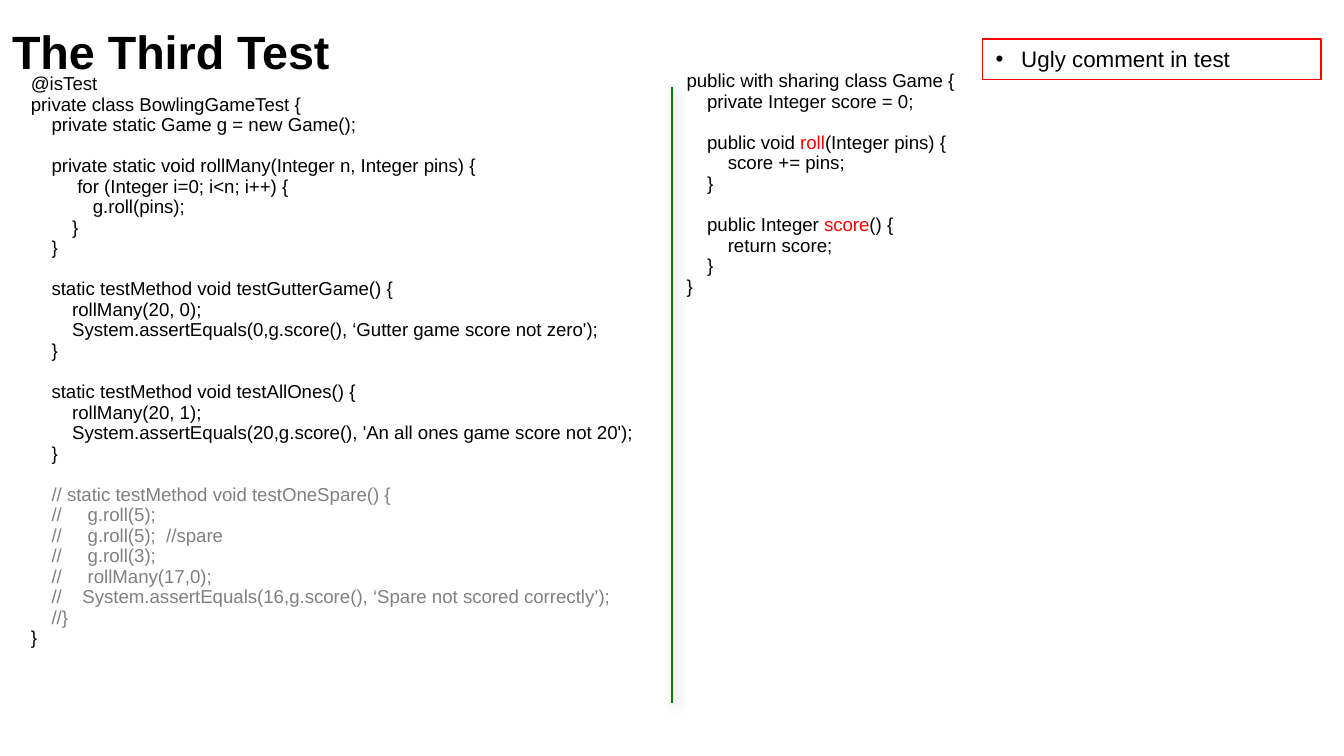
from lxml import etree
from pptx import Presentation
from pptx.dml.color import RGBColor
from pptx.enum import shapes, text
from pptx.oxml import parse_xml
from pptx.oxml.ns import nsdecls, qn
from pptx.util import Inches, Pt

BLACK = RGBColor(0x00, 0x00, 0x00)
GRAY = RGBColor(0x80, 0x80, 0x80)
RED = RGBColor(0xFF, 0x00, 0x00)
GREEN = RGBColor(0x00, 0x80, 0x00)
FONT = "Arial"
LINE_HEIGHT = Pt(11)

TITLE = "The Third Test"
REMARK = "Ugly comment in test"

# Code as blocks of lines; a line is text or a list of (text, colour) spans
TEST_CODE = [
    ["@isTest",
     "private class BowlingGameTest {",
     "    private static Game g = new Game();"],
    ["    private static void rollMany(Integer n, Integer pins) {",
     "         for (Integer i=0; i<n; i++) {",
     "            g.roll(pins);",
     "        }",
     "    }"],
    ["    static testMethod void testGutterGame() {",
     "        rollMany(20, 0);",
     "        System.assertEquals(0,g.score(), ‘Gutter game score not zero');",
     "    }"],
    ["    static testMethod void testAllOnes() {",
     "        rollMany(20, 1);",
     "        System.assertEquals(20,g.score(), 'An all ones game score not 20');",
     "    }"],
    ["    // static testMethod void testOneSpare() {",
     "    //     g.roll(5);",
     "    //     g.roll(5);  //spare",
     "    //     g.roll(3);",
     "    //     rollMany(17,0);",
     "    //    System.assertEquals(16,g.score(), ‘Spare not scored correctly’);",
     "    //}",
     "}"],
]
GAME_CODE = [
    ["public with sharing class Game {",
     "    private Integer score = 0;"],
    [[("    public void ", BLACK), ("roll", RED), ("(Integer pins) {", BLACK)],
     "        score += pins;",
     "    }"],
    [[("    public Integer ", BLACK), ("score", RED), ("() {", BLACK)],
     "        return score;",
     "    }",
     "}"],
]


def add_box(slide, left, top, width, height, inset_x=0.1, inset_y=0.05):
    box = slide.shapes.add_textbox(Inches(left), Inches(top), Inches(width), Inches(height))
    frame = box.text_frame
    frame.word_wrap = True
    frame.margin_left = frame.margin_right = Inches(inset_x)
    frame.margin_top = frame.margin_bottom = Inches(inset_y)
    return frame


def add_span(para, words, size, color, bold=False):
    span = para.add_run()
    span.text = words
    span.font.name = FONT
    span.font.size = Pt(size)
    span.font.bold = bold
    span.font.color.rgb = color


def add_code(frame, blocks):
    para = frame.paragraphs[0]
    for block_index, block in enumerate(blocks):
        for line_index, line in enumerate(block):
            if block_index or line_index:
                para = frame.add_paragraph()
            para.line_spacing = LINE_HEIGHT
            if block_index and not line_index:
                para.space_before = LINE_HEIGHT  # one empty line between blocks
            if isinstance(line, str):
                line = [(line, GRAY if line.strip().startswith("//") else BLACK)]
            for words, color in line:
                add_span(para, words, 10, color)


deck = Presentation()
deck.slide_width = Inches(10)
deck.slide_height = deck.slide_width * 9 // 16
slide = deck.slides.add_slide(deck.slide_layouts[6])

# Title
title = add_box(slide, 0, 0, 10, 0.76, 0.09, 0.04)
title.vertical_anchor = text.MSO_ANCHOR.MIDDLE
add_span(title.paragraphs[0], TITLE, 25, BLACK, bold=True)

# Test class on the left, game class on the right
add_code(add_box(slide, 0.09, 0.48, 4.9, 4.6, 0.14, 0.07), TEST_CODE)
add_code(add_box(slide, 5.01, 0.48, 4.99, 4.27), GAME_CODE)

# Remark with a red frame
remark = slide.shapes.add_shape(shapes.MSO_SHAPE.RECTANGLE, Inches(7.31), Inches(0.29),
                                Inches(2.52), Inches(0.3))
remark.shadow.inherit = False
remark.fill.background()
remark.line.color.rgb = RED
remark.line.width = Pt(0.75)
remark.text_frame.word_wrap = True
remark.text_frame.vertical_anchor = text.MSO_ANCHOR.TOP
para = remark.text_frame.paragraphs[0]
para.alignment = text.PP_ALIGN.LEFT
props = para._p.get_or_add_pPr()
props.set("marL", str(Inches(0.19)))
props.set("indent", str(-Inches(0.19)))
etree.SubElement(props, qn("a:buFont")).set("typeface", FONT)
etree.SubElement(props, qn("a:buChar")).set("char", "•")
add_span(para, REMARK, 12, BLACK)

# Divider with a soft shadow
divider = slide.shapes.add_connector(shapes.MSO_CONNECTOR.STRAIGHT, Inches(5), Inches(0.65),
                                     Inches(5), Inches(5.23))
divider.line.color.rgb = GREEN
divider.line.width = Pt(0.75)
divider._element.spPr.append(parse_xml(
    f'<a:effectLst {nsdecls("a")}>'
    f'<a:outerShdw blurRad="{Pt(5)}" dist="{Pt(3)}" dir="2700000">'
    '<a:srgbClr val="6B6B6B"><a:alpha val="75000"/></a:srgbClr>'
    '</a:outerShdw></a:effectLst>'))

deck.save("out.pptx")
